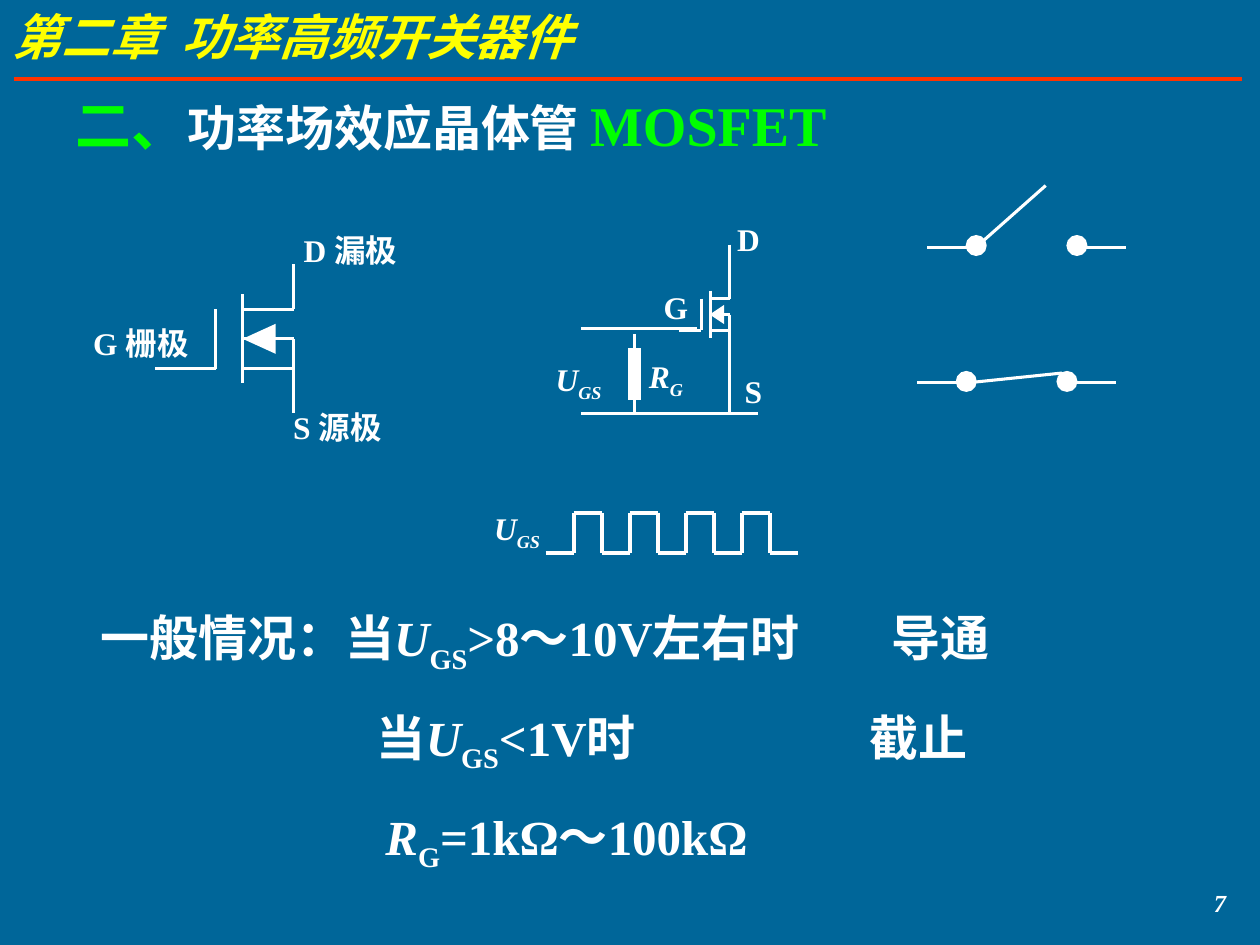
from itertools import pairwise
from lxml import etree
from pptx import Presentation
from pptx.dml.color import RGBColor
from pptx.enum.shapes import MSO_CONNECTOR, MSO_SHAPE
from pptx.enum.text import MSO_ANCHOR, PP_ALIGN
from pptx.oxml.ns import qn
from pptx.util import Cm, Pt

STRAIGHT = MSO_CONNECTOR.STRAIGHT
TRIANGLE = MSO_SHAPE.ISOSCELES_TRIANGLE
RECT = MSO_SHAPE.RECTANGLE
OVAL = MSO_SHAPE.OVAL
MIDDLE = MSO_ANCHOR.MIDDLE
TOP = MSO_ANCHOR.TOP
LEFT = PP_ALIGN.LEFT
RIGHT = PP_ALIGN.RIGHT

FONT = "Times New Roman"
WHITE = "FFFFFF"
GREEN = "00FF00"
YELLOW = "FFFF00"
RED = "FF3300"
BLUE = "006699"


def paint(fill, color):
    fill.solid()
    fill.fore_color.rgb = RGBColor.from_string(color)


def wire(shapes, x1, y1, x2, y2, color=WHITE, weight=1.75):
    line = shapes.add_connector(STRAIGHT, Cm(x1), Cm(y1), Cm(x2), Cm(y2))
    paint(line.line.fill, color)
    line.line.width = Pt(weight)
    etree.SubElement(line._element.spPr, qn("a:effectLst"))


def solid(shapes, kind, x, y, w, h, turn=0):
    shape = shapes.add_shape(kind, Cm(x), Cm(y), Cm(w), Cm(h))
    shape.shadow.inherit = False
    shape.rotation = turn
    paint(shape.fill, WHITE)
    paint(shape.line.fill, WHITE)
    shape.line.width = Pt(1.75)
    edge = shape._element.spPr.find(qn("a:ln"))
    etree.SubElement(edge, qn("a:miter"), lim="800000")


def frame(shapes, x, y, w, h, anchor=TOP, align=LEFT, tab=None):
    body = shapes.add_textbox(Cm(x), Cm(y), Cm(w), Cm(h)).text_frame
    body.word_wrap = True
    body.vertical_anchor = anchor
    par = body.paragraphs[0]
    par.alignment = align
    if tab:
        stops = etree.SubElement(par._p.get_or_add_pPr(), qn("a:tabLst"))
        etree.SubElement(stops, qn("a:tab"), pos=str(int(Cm(tab))), algn="l")
    return par


def write(par, text, size=28, color=WHITE, italic=False, sub=False):
    run = par.add_run()
    run.text = text
    font = run.font
    font.name = FONT
    font.size = Pt(size)
    font.bold = True
    font.italic = italic
    paint(font.fill, color)
    if sub:
        run._r.get_or_add_rPr().set("baseline", "-25000")


def label(shapes, text, x, y, w):
    write(frame(shapes, x, y, w, 1.02), text, size=18)


def symbol(shapes, name, mark, x, y, w):
    par = frame(shapes, x, y, w, 1.12)
    write(par, name, size=18, italic=True)
    write(par, mark, size=18, italic=True, sub=True)


def header(shapes, x, y, w):
    wire(shapes, x + 0.28, y + 1.6, x + w, y + 1.6, RED, 2.25)
    par = frame(shapes, x, y, 15.47, 1.45)
    write(par, "第二章  功率高频开关器件", color=YELLOW, italic=True)


def heading(shapes, x, y, w, h):
    par = frame(shapes, x, y, w, h, anchor=MIDDLE)
    write(par, "二、", size=32, color=GREEN)
    write(par, "功率场效应晶体管 ")
    write(par, "MOSFET", size=32, color=GREEN)


def mosfet(shapes, x, y, w, h):
    gate, bar = 0.44, 0.63
    parts = [
        (bar, 0.2, bar, 0.8),
        (bar, 0.3, 1, 0.3),
        (bar, 0.5, 1, 0.5),
        (bar, 0.7, 1, 0.7),
        (1, 0.5, 1, 1),
        (1, 0.3, 1, 0),
        (gate, 0.3, gate, 0.7),
        (0, 0.7, gate, 0.7),
    ]
    for x1, y1, x2, y2 in parts:
        wire(shapes, x + x1 * w, y + y1 * h, x + x2 * w, y + y2 * h)
    base, depth = 0.17 * h, 0.2 * w
    left = x + 0.76 * w - base / 2
    solid(shapes, TRIANGLE, left, y + h / 2 - depth / 2, base, depth, 270)


def device(shapes, x, y, w, h):
    mosfet(shapes, x, y, w, h)
    label(shapes, "G 栅极", x - 1.49, y + 1.07, 3)
    label(shapes, "S 源极", x + 2.54, y + 2.77, 3)
    label(shapes, "D 漏极", x + 2.75, y - 0.79, 3)


def circuit(shapes, x, y):
    mosfet(shapes, x + 1.98, y + 1.22, 1.02, 1.6)
    solid(shapes, RECT, x + 0.99, y + 2.72, 0.2, 0.99)
    parts = [
        (1.09, 3.71, 1.09, 4.01),
        (1.09, 2.41, 1.09, 2.72),
        (3, 0.61, 3, 1.62),
        (3, 2.44, 3, 4.01),
        (0, 4.01, 3.58, 4.01),
        (0, 2.31, 2.34, 2.31),
    ]
    for x1, y1, x2, y2 in parts:
        wire(shapes, x + x1, y + y1, x + x2, y + y2)
    label(shapes, "D", x + 2.9, y, 1.1)
    label(shapes, "S", x + 3.05, y + 3.05, 1.1)
    label(shapes, "G", x + 1.42, y + 1.37, 1.1)
    symbol(shapes, "U", "GS", x - 0.76, y + 2.82, 1.8)
    symbol(shapes, "R", "G", x + 1.12, y + 2.76, 1.5)


def pulses(shapes, x, y, w, h, count=4):
    step = w / (2 * count + 1)
    points = []
    for i in range(2 * count + 1):
        level = y if i % 2 else y + h
        points += [(x + i * step, level), (x + (i + 1) * step, level)]
    for start, end in pairwise(points):
        wire(shapes, *start, *end, weight=2.25)
    symbol(shapes, "U", "GS", x - 1.29, y - 0.2, 1.8)


def switch(shapes, x, y, w, tip, rise):
    pole, lead, size = 0.99, 0.86, 0.36
    wire(shapes, x, y, x + lead, y)
    wire(shapes, x + w - lead, y, x + w, y)
    wire(shapes, x + pole, y, x + tip, y - rise)
    for mid in (x + pole, x + w - pole):
        solid(shapes, OVAL, mid - size / 2, y - 0.03 - size / 2, size, size)


def rules(shapes, x, y, step):
    rows = [
        (0, 18.8, 15.95, "一般情况：当", "U", "GS", ">8～10V左右时\t导通"),
        (5.57, 13, 9.93, "当", "U", "GS", "<1V时\t截止"),
        (5.74, 8.8, None, "", "R", "G", "=1kΩ～100kΩ"),
    ]
    for i, (dx, w, tab, lead, name, mark, rest) in enumerate(rows):
        par = frame(shapes, x + dx, y + i * step, w, 1.6, tab=tab)
        if lead:
            write(par, lead)
        write(par, name, italic=True)
        write(par, mark, sub=True)
        write(par, rest)


def main():
    deck = Presentation()
    deck.slide_width, deck.slide_height = Cm(25.4), Cm(19.05)
    slide = deck.slides.add_slide(deck.slide_layouts[6])
    paint(slide.background.fill, BLUE)
    shapes = slide.shapes

    def group():
        return shapes.add_group_shape().shapes

    header(shapes, 0, 0, 25.04)
    page = frame(shapes, 22.23, 17.78, 2.74, 0.84, align=RIGHT)
    write(page, "7", size=14, italic=True)
    heading(shapes, 1.27, 1.68, 18.24, 1.63)
    device(group(), 3.12, 5.33, 2.8, 3)
    pulses(group(), 11, 10.34, 5.08, 0.81)
    circuit(group(), 11.71, 4.32)
    rules(shapes, 1.78, 12.13, 2)
    switch(group(), 18.69, 4.98, 4.01, 2.39, 1.24)
    switch(group(), 18.49, 7.72, 4.01, 2.92, 0.2)
    deck.save("out.pptx")


if __name__ == "__main__":
    main()
